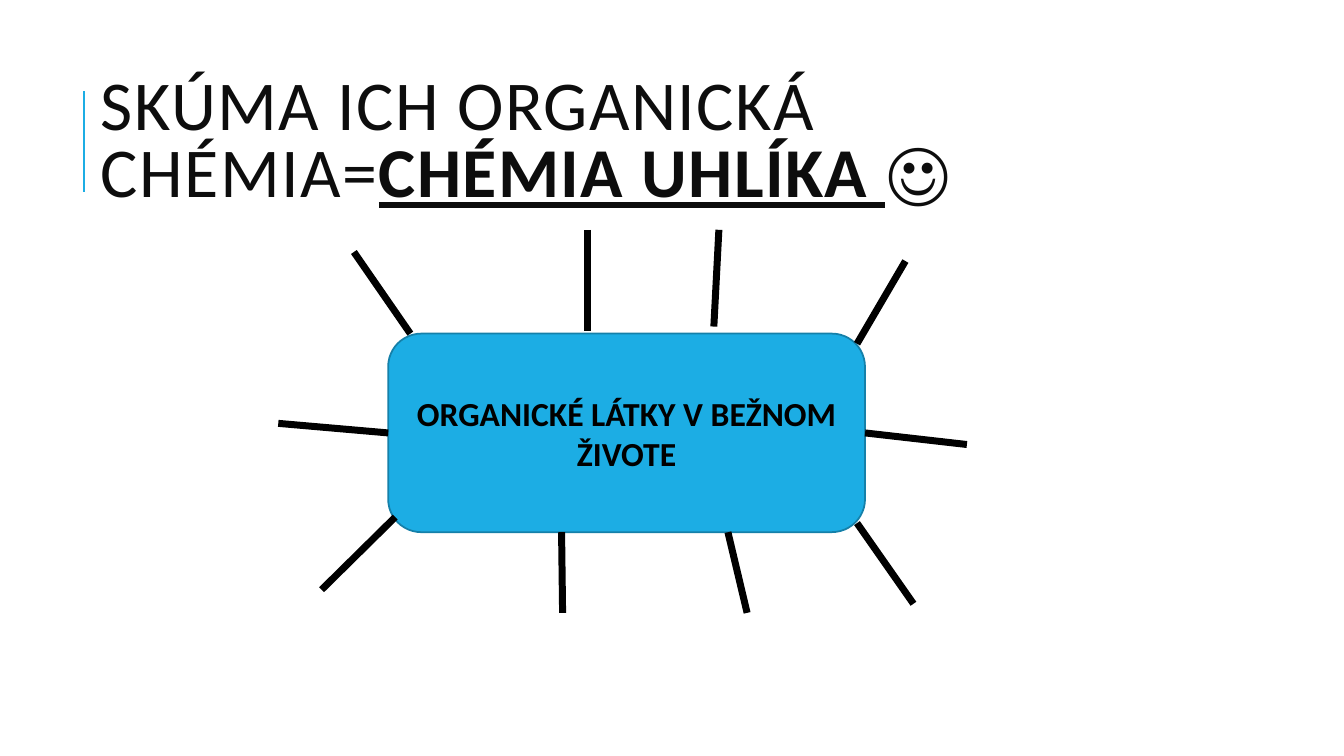
from typing import NamedTuple

from lxml import etree
from pptx import Presentation
from pptx import util as u
from pptx.dml.color import RGBColor
from pptx.enum import shapes, text
from pptx.oxml.ns import qn

SCALE = 9144
BLACK, BLUE, EDGE, INK = "000000", "1CADE4", "1580A9", "0D0D0D"


class Ray(NamedTuple):
    """A straight line, with the box side it starts from, if any."""
    x1: int
    y1: int
    x2: int
    y2: int
    side: int | None = None


RAYS = [
    Ray(351, 250, 407, 331),
    Ray(858, 426, 959, 441, 3),
    Ray(392, 513, 319, 585),
    Ray(583, 228, 583, 328),
    Ray(557, 528, 558, 608),
    Ray(850, 519, 906, 599),
    Ray(898, 259, 850, 341),
    Ray(722, 528, 741, 608),
    Ray(383, 424, 276, 420, 1),
    Ray(713, 228, 708, 324),
]


def px(*vals: int) -> list[u.Emu]:
    """Turn px lengths into EMU."""
    return [u.Emu(v * SCALE) for v in vals]


def paint(part, color: str) -> None:
    """Give a fill one solid colour."""
    part.solid()
    part.fore_color.rgb = RGBColor.from_string(color)


def write(para, words: str, *, size: int, color: str, bold: bool = False,
          under: bool = False, gap: int = 0) -> None:
    """Add a run of text with its format."""
    run = para.add_run()
    run.text = words
    font = run.font
    font.name, font.size = "Calibri", u.Pt(size)
    font.bold, font.underline = bold, under
    paint(font.fill, color)
    if gap:
        run._r.get_or_add_rPr().set("spc", str(gap * 100))


def link(slide, ray: Ray, color: str, width: float, box=None) -> None:
    """Draw a ray and join it to the box if it has a side."""
    line = slide.shapes.add_connector(shapes.MSO_CONNECTOR.STRAIGHT, *px(*ray[:4]))
    paint(line.line.fill, color)
    line.line.width = u.Pt(width)
    etree.SubElement(line._element.spPr, qn("a:effectLst"))
    if box is not None and ray.side is not None:
        line.begin_connect(box, ray.side)


def head(slide) -> None:
    """Place and fill the title."""
    title = slide.shapes.title
    title.left, title.top, title.width, title.height = px(90, 61, 1240, 164)
    frame = title.text_frame
    frame.word_wrap = True
    frame.auto_size = text.MSO_AUTO_SIZE.NONE
    frame.vertical_anchor = text.MSO_ANCHOR.MIDDLE
    para = frame.paragraphs[0]
    para.alignment = text.PP_ALIGN.LEFT
    para.line_spacing = 0.8
    look = dict(size=50, color=INK, gap=1)
    write(para, "SKÚMA ICH ORGANICKÁ CHÉMIA=", **look)
    write(para, "CHÉMIA UHLÍKA ", bold=True, under=True, **look)
    write(para, "☺", **look)


def topic(slide):
    """Draw the central box and return it."""
    box = slide.shapes.add_shape(shapes.MSO_SHAPE.ROUNDED_RECTANGLE,
                                 *px(385, 331, 473, 197))
    box.shadow.inherit = False
    paint(box.fill, BLUE)
    paint(box.line.fill, EDGE)
    box.line.width = u.Pt(1.25)
    frame = box.text_frame
    frame.word_wrap = True
    frame.vertical_anchor = text.MSO_ANCHOR.MIDDLE
    para = frame.paragraphs[0]
    para.alignment = text.PP_ALIGN.CENTER
    write(para, "ORGANICKÉ LÁTKY V BEŽNOM ŽIVOTE", size=24, color=BLACK, bold=True)
    return box


def main() -> None:
    """Build the slide and save it."""
    deck = Presentation()
    deck.slide_width, deck.slide_height = px(1333, 750)
    slide = deck.slides.add_slide(deck.slide_layouts[5])
    link(slide, Ray(83, 190, 83, 90), BLUE, 1.5)
    head(slide)
    box = topic(slide)
    for ray in RAYS:
        link(slide, ray, BLACK, 5, box)
    deck.save("out.pptx")


if __name__ == "__main__":
    main()
